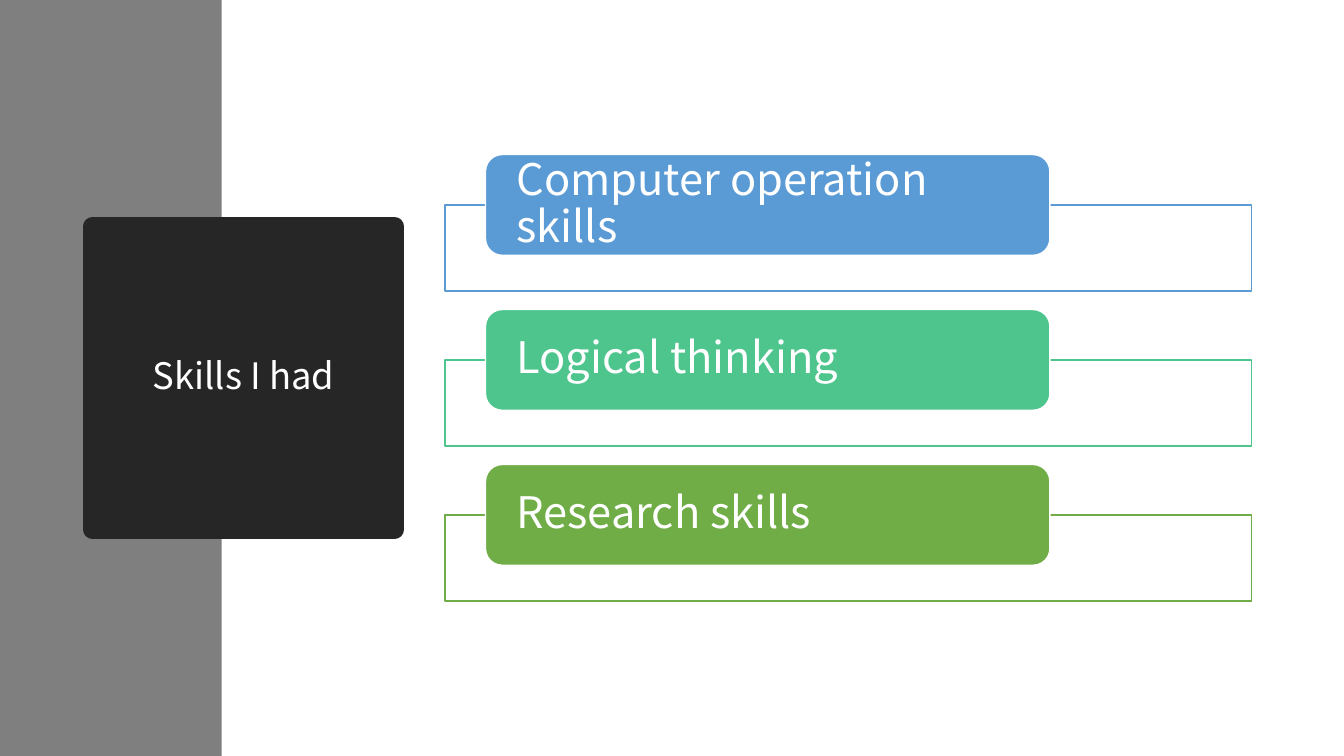
import pptx
import pptx.util
import pptx.dml.color
import pptx.enum.shapes
import pptx.enum.text
import pptx.oxml.ns
from lxml import etree

Pt = pptx.util.Pt
SHAPES = pptx.enum.shapes.MSO_SHAPE
ALIGN = pptx.enum.text.PP_ALIGN
FONT = "Noto Sans CJK KR"
COLORS = {
    "white": "FFFFFF",
    "band": "7F7F7F",
    "title": "262626",
    "blue": "5B9BD5",
    "teal": "4DC58D",
    "green": "70AD47",
}
SKILLS = [
    ("Computer operation skills", "blue"),
    ("Logical thinking", "teal"),
    ("Research skills", "green"),
]


def paint(shape, fill, line=None, width=1):
    """Give a shape a solid fill and an outline, or no outline."""
    shape.fill.solid()
    shape.fill.fore_color.rgb = pptx.dml.color.RGBColor.from_string(COLORS[fill])
    if line:
        shape.line.color.rgb = pptx.dml.color.RGBColor.from_string(COLORS[line])
        shape.line.width = Pt(width)
    else:
        shape.line.fill.background()


def write(shape, text, size, align, inset):
    frame = shape.text_frame
    frame.text = text
    frame.word_wrap = True
    frame.auto_size = pptx.enum.text.MSO_AUTO_SIZE.NONE
    frame.vertical_anchor = pptx.enum.text.MSO_ANCHOR.MIDDLE
    frame.margin_left = frame.margin_right = Pt(inset)
    frame.margin_top = frame.margin_bottom = 0
    paragraph = frame.paragraphs[0]
    paragraph.alignment = align
    paragraph.line_spacing = 0.9
    paragraph.font.size = Pt(size)
    paragraph.font.name = FONT
    paragraph.font.color.rgb = pptx.dml.color.RGBColor.from_string(COLORS["white"])


presentation = pptx.Presentation()
presentation.slide_width = Pt(960)
presentation.slide_height = Pt(540)
slide = presentation.slides.add_slide(presentation.slide_layouts[5])

# Side band, behind the title
title = slide.shapes.title
band = slide.shapes.add_shape(SHAPES.RECTANGLE, 0, 0, Pt(158.4), Pt(540))
band.shadow.inherit = False
paint(band, "band")
title.element.addprevious(band.element)

# Title block: the thick outline rounds its corners
title.left, title.top, title.width, title.height = Pt(66), Pt(162), Pt(216), Pt(216)
paint(title, "title", "title", 13.75)
etree.SubElement(title.line._get_or_add_ln(), pptx.oxml.ns.qn("a:round"))
write(title, "Skills I had", 26, ALIGN.CENTER, 7.2)

# Skill cards, each centred on the top edge of its frame
CARD_TOP, CARD_HEIGHT, PITCH = 110.4, 72, 110.7
for index, (skill, color) in enumerate(SKILLS):
    top = CARD_TOP + index * PITCH
    frame_box = slide.shapes.add_shape(
        SHAPES.RECTANGLE, Pt(318), Pt(top + CARD_HEIGHT / 2), Pt(576), Pt(61.6))
    card = slide.shapes.add_shape(
        SHAPES.ROUNDED_RECTANGLE, Pt(346.8), Pt(top), Pt(403.2), Pt(CARD_HEIGHT))
    for shape in (frame_box, card):
        shape.shadow.inherit = False
    paint(frame_box, "white", color)
    paint(card, color, "white")
    write(card, skill, 31, ALIGN.LEFT, 18.7)

presentation.save("out.pptx")
